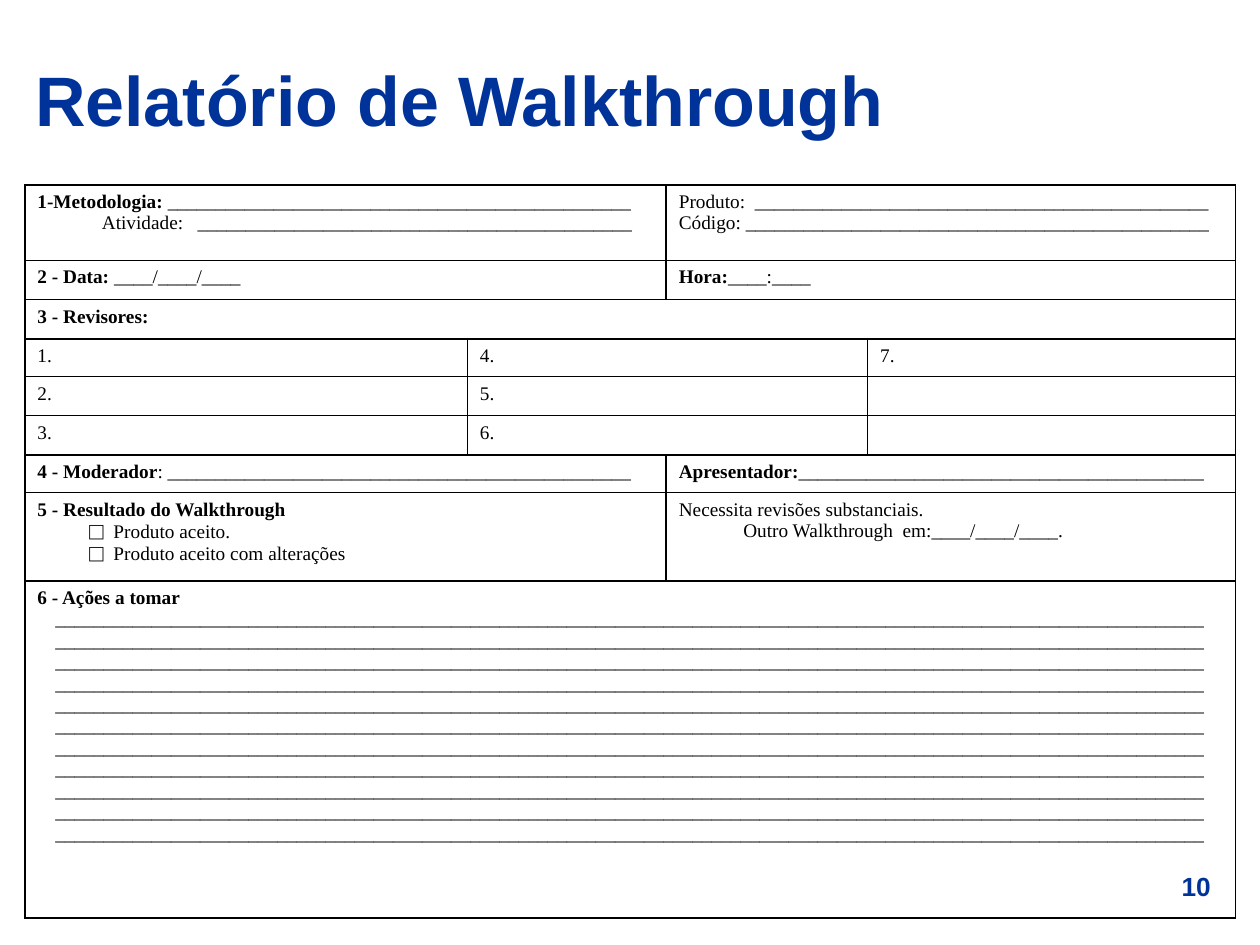
from dataclasses import dataclass

from lxml.etree import SubElement
from pptx import Presentation
from pptx.dml.color import RGBColor
from pptx.enum.text import MSO_ANCHOR, PP_ALIGN
from pptx.oxml import parse_xml
from pptx.oxml.ns import nsdecls, qn
from pptx.util import Cm, Pt


@dataclass(frozen=True)
class Theme:
    blue: RGBColor = RGBColor(0x00, 0x33, 0x99)
    black: RGBColor = RGBColor(0, 0, 0)
    head: str = "Arial"
    body: str = "Times New Roman"
    mark: str = "DejaVu Sans Mono"
    title: int = 40
    page: int = 15
    form: int = 11
    rule: int = 1


THEME = Theme()
BOX = "\t⃞ "
INDENT = Cm(1.3)

COLS = [8.92, 4.01, 4.06, 7.42]
ROWS = [1.52, 0.79, 0.79, 0.76, 0.79, 0.79, 0.76, 1.78, 6.8]

# Columns each kind of row is merged into: first and last of every cell
HALVES = [(0, 1), (2, 3)]
WHOLE = [(0, 3)]
THIRDS = [(0, 0), (1, 2), (3, 3)]

# One entry per row; text before "|" is bold
FORM = [
    (HALVES, [["1-Metodologia: |" + "_" * 48, "\tAtividade:   " + "_" * 45],
              ["Produto:  " + "_" * 47, "Código: " + "_" * 48]]),
    (HALVES, [["2 - Data:| ____/____/____"], ["Hora:|____:____"]]),
    (WHOLE, [["3 - Revisores:|"]]),
    (THIRDS, [["1."], ["4."], ["7."]]),
    (THIRDS, [["2."], ["5."], []]),
    (THIRDS, [["3."], ["6."], []]),
    (HALVES, [["4 - Moderador|: " + "_" * 48], ["Apresentador:|" + "_" * 42]]),
    (HALVES, [["5 - Resultado do Walkthrough|", BOX + "|Produto aceito.",
               BOX + "|Produto aceito com alterações"],
              ["Necessita revisões substanciais.",
               "\tOutro Walkthrough  em:____/____/____."]]),
    (WHOLE, [["6 - Ações a tomar|"] + ["_" * 119] * 11]),
]


def style(run, face, size, color, bold):
    run.font.name = face
    run.font.size = Pt(size)
    run.font.color.rgb = color
    run.font.bold = bold


def add_label(slide, box, text, size, align, anchor):
    """A line of blue heading text inside box."""
    frame = slide.shapes.add_textbox(*map(Cm, box)).text_frame
    frame.word_wrap = True
    frame.vertical_anchor = anchor
    frame.text = text
    line = frame.paragraphs[0]
    line.alignment = align
    style(line.runs[0], THEME.head, size, THEME.blue, True)


def frame_cell(cell):
    """Clear fill, thin black border, small type even when empty."""
    cell.fill.background()
    props = cell._tc.get_or_add_tcPr()
    for i, side in enumerate(("lnL", "lnR", "lnT", "lnB")):
        props.insert(i, parse_xml(
            f'<a:{side} {nsdecls("a")} w="{Pt(THEME.rule)}"><a:solidFill>'
            f'<a:srgbClr val="{THEME.black}"/></a:solidFill></a:{side}>'))
    if not cell.text_frame.text:
        end = SubElement(cell.text_frame.paragraphs[0]._p, qn("a:endParaRPr"))
        end.set("sz", str(THEME.form * 100))


def write_cell(cell, lines):
    frame = cell.text_frame
    frame.text = "\n".join(lines)
    for para, line in zip(frame.paragraphs, lines):
        lead, bar, rest = line.partition("|")
        if bar:
            para.text = lead
            if rest:
                para.add_run().text = rest
        for i, run in enumerate(para.runs):
            face = THEME.mark if run.text == BOX else THEME.body
            bold = bool(bar) and i == 0 and run.text != BOX
            style(run, face, THEME.form, THEME.black, bold)
        if set(line) == {"_"}:
            para.alignment = PP_ALIGN.CENTER
        # Hanging indent, which also sets where the tab lands
        props = para._p.get_or_add_pPr()
        props.set("marL", str(INDENT))
        props.set("indent", str(-INDENT))


def add_form(slide, left, top):
    """The report form, with its cells merged row by row."""
    table = slide.shapes.add_table(
        len(ROWS), len(COLS), Cm(left), Cm(top),
        Cm(sum(COLS)), Cm(sum(ROWS))).table
    table.first_row = table.horz_banding = False
    for col, width in zip(table.columns, COLS):
        col.width = Cm(width)
    for row, height in zip(table.rows, ROWS):
        row.height = Cm(height)
    for r, (spans, cells) in enumerate(FORM):
        for (first, last), lines in zip(spans, cells):
            cell = table.cell(r, first)
            if last > first:
                cell.merge(table.cell(r, last))
            if lines:
                write_cell(cell, lines)
    for cell in table.iter_cells():
        frame_cell(cell)


def main():
    deck = Presentation()
    deck.slide_width, deck.slide_height = Cm(25.4), Cm(19.05)
    slide = deck.slides.add_slide(deck.slide_layouts[6])

    # Page number, title, form
    add_label(slide, (23.11, 17.42, 2.01, 0.89), "10", THEME.page,
              PP_ALIGN.CENTER, MSO_ANCHOR.TOP)
    add_label(slide, (0.46, 0.71, 24.43, 2.57), "Relatório de Walkthrough",
              THEME.title, PP_ALIGN.LEFT, MSO_ANCHOR.MIDDLE)
    add_form(slide, 0.5, 3.73)

    deck.save("out.pptx")


if __name__ == "__main__":
    main()
